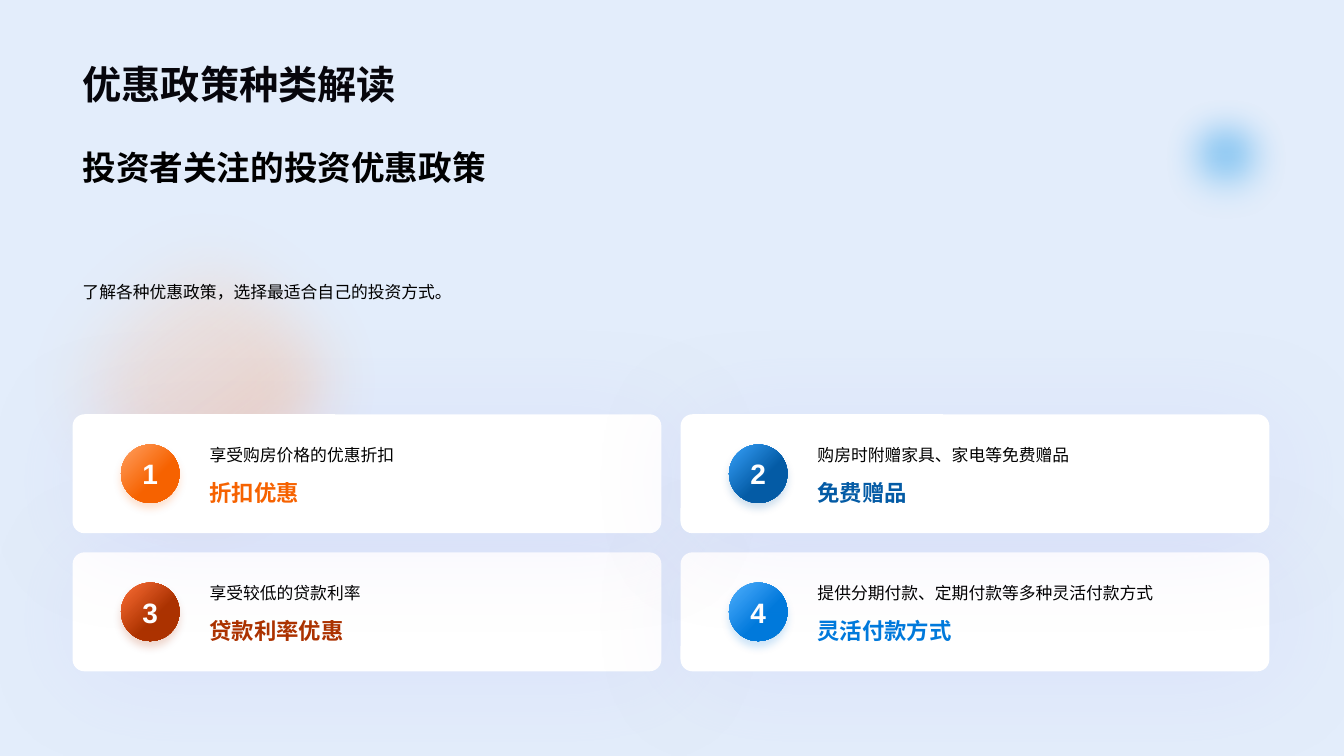
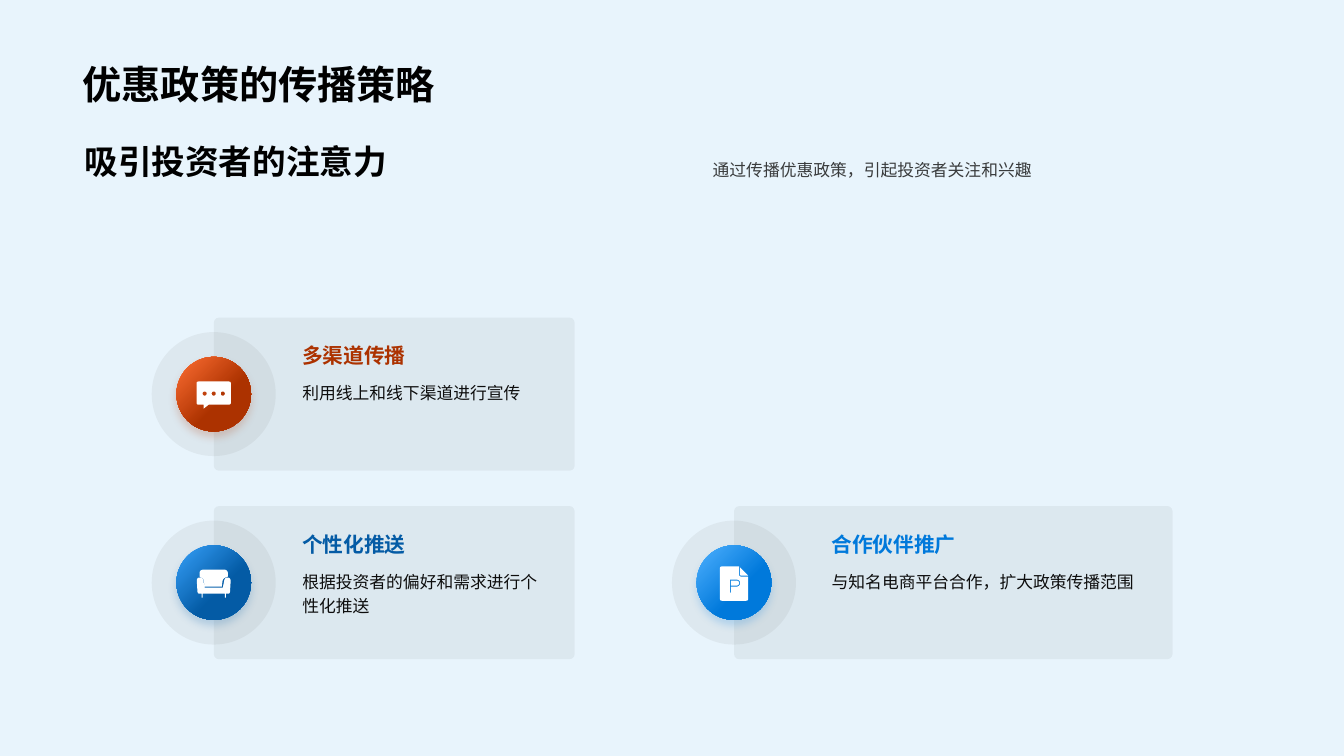
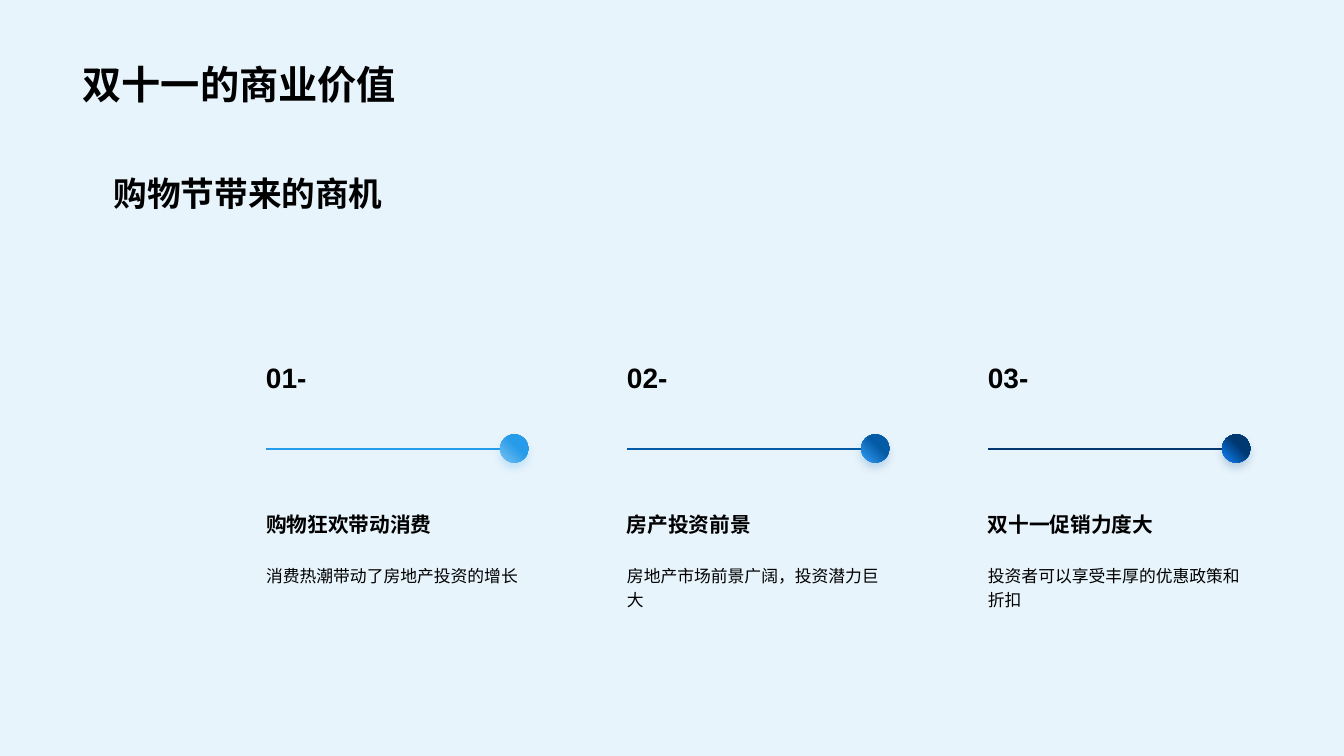
from lxml.etree import SubElement
from pptx import Presentation
from pptx.dml.color import RGBColor
from pptx.enum.shapes import MSO_CONNECTOR, MSO_SHAPE
from pptx.enum.text import MSO_ANCHOR, MSO_AUTO_SIZE, PP_ALIGN
from pptx.oxml.ns import qn
from pptx.util import Inches, Pt

# Shared style
WIDTH, HEIGHT = 13.33, 7.5
MARGIN = 0.72
FONT = "Arial"
BLACK, INK, MUTED, WHITE = "000000", "0D0D0D", "393B3C", "FFFFFF"
PAGE, VIOLET, GREY = "E8F4FC", "8E7EF0", "808080"
ORANGE, RUST = ("FFA061", "F66200"), ("FF6F34", "AC3200")
NAVY, AZURE = ("37A1FA", "045BA5"), ("50B1FF", "0079DB")
SKY, MIDNIGHT = ("7CC3F2", "259BE9"), ("1187FF", "003871")

# Content
POLICIES = [
    ("折扣优惠", "享受购房价格的优惠折扣", ORANGE),
    ("免费赠品", "购房时附赠家具、家电等免费赠品", NAVY),
    ("贷款利率优惠", "享受较低的贷款利率", RUST),
    ("灵活付款方式", "提供分期付款、定期付款等多种灵活付款方式", AZURE),
]
VALUES = [
    ("购物狂欢带动消费", "消费热潮带动了房地产投资的增长", SKY),
    ("房产投资前景", "房地产市场前景广阔，投资潜力巨大", NAVY),
    ("双十一促销力度大", "投资者可以享受丰厚的优惠政策和折扣", MIDNIGHT),
]


def dot_outline(x, y):
    return [(x - 2, y - 2, 2), (x + 2, y - 2, 2), (x + 2, y + 2, 2), (x - 2, y + 2, 2)]


# Icon outlines: corners as (x, y, rounding), in hundredths of an inch
CHAT = [
    [(0, 0, 2), (34, 0, 2), (34, 23, 2), (12, 23, 0), (7, 27, 0), (7, 23, 0), (0, 23, 2)],
    *[dot_outline(x, 12) for x in (8, 17, 26)],
]
SOFA = [
    [(3, 7, 0), (3, 0, 5), (31, 0, 5), (31, 7, 0), (26, 9, 3), (25, 17, 0), (8, 17, 0), (7, 9, 3)],
    [(0, 8, 4), (6, 8, 3), (8, 18, 0), (26, 18, 0), (28, 8, 3), (34, 8, 4), (33, 24, 2),
     (29, 24, 0), (29, 28, 0), (28, 28, 0), (28, 24, 0), (6, 24, 0), (6, 28, 0), (5, 28, 0),
     (5, 24, 0), (1, 24, 2)],
]
FILE = [
    [(0, 0, 2), (19, 0, 0), (19, 10, 2), (28, 10, 0), (28, 34, 2), (0, 34, 2)],
    [(20, 1, 0), (28, 9, 0), (20, 9, 1)],
    [(10, 13, 0), (20, 13, 4), (20, 20, 4), (11, 20, 0), (11, 26, 0), (10, 26, 0)],
    [(11, 14, 0), (19, 14, 3), (19, 19, 3), (11, 19, 0)],
]
# Card column (left, width, text inset), row top, heading, body, colours, icon
LEFT_COLUMN, RIGHT_COLUMN = (2.12, 3.58, 0.78), (7.28, 4.35, 0.87)
CHANNELS = [
    (LEFT_COLUMN, 3.15, "多渠道传播", "利用线上和线下渠道进行宣传", RUST, CHAT),
    (LEFT_COLUMN, 5.02, "个性化推送", "根据投资者的偏好和需求进行个性化推送", NAVY, SOFA),
    (RIGHT_COLUMN, 5.02, "合作伙伴推广", "与知名电商平台合作，扩大政策传播范围", AZURE, FILE),
]


# Drawing helpers
def color(code):
    return RGBColor.from_string(code)


def fill_solid(shape, code, alpha=100):
    shape.fill.solid()
    shape.fill.fore_color.rgb = color(code)
    if alpha < 100:
        tint = shape.element.spPr.find(qn("a:solidFill")).find(qn("a:srgbClr"))
        SubElement(tint, qn("a:alpha"), val=str(alpha * 1000))


def fill_gradient(shape, stops, angle=None):
    """Stops are (position, colour, alpha); without an angle the fill is radial."""
    shape.fill.gradient()
    gradient = shape.element.spPr.find(qn("a:gradFill"))
    for child in list(gradient):
        gradient.remove(child)
    stop_list = SubElement(gradient, qn("a:gsLst"))
    for position, code, alpha in stops:
        stop = SubElement(stop_list, qn("a:gs"), pos=str(position * 1000))
        tint = SubElement(stop, qn("a:srgbClr"), val=code)
        if alpha < 100:
            SubElement(tint, qn("a:alpha"), val=str(alpha * 1000))
    if angle is None:
        radial = SubElement(gradient, qn("a:path"), path="circle")
        SubElement(radial, qn("a:fillToRect"), l="50000", t="130000", r="50000", b="-30000")
    else:
        SubElement(gradient, qn("a:lin"), ang=str(angle * 60000), scaled="0")


def add_shadow(shape, code, alpha, blur, distance, direction):
    effects = shape.element.spPr.find(qn("a:effectLst"))
    shadow = SubElement(effects, qn("a:outerShdw"), blurRad=str(Pt(blur)), dist=str(Pt(distance)),
                        dir=str(direction * 60000), algn="ctr", rotWithShape="0")
    tint = SubElement(shadow, qn("a:srgbClr"), val=code)
    SubElement(tint, qn("a:alpha"), val=str(alpha * 1000))


def add_plain(page, kind, left, top, width, height, rounding=None):
    shape = page.shapes.add_shape(kind, Inches(left), Inches(top), Inches(width), Inches(height))
    if rounding is not None:
        shape.adjustments[0] = rounding
    shape.line.fill.background()
    shape.shadow.inherit = False
    return shape


def add_ball(page, left, top, size, colors, angle=45):
    ball = add_plain(page, MSO_SHAPE.OVAL, left, top, size, size)
    light, dark = colors
    fill_gradient(ball, [(0, light, 100), (60, dark, 100)], angle)
    add_shadow(ball, dark, 20, 6, 4, 90)
    return ball


def add_glow(page, left, top, size, rotation, stops, angle, softness):
    glow = add_plain(page, MSO_SHAPE.OVAL, left, top, size, size)
    glow.rotation = rotation
    fill_gradient(glow, stops, angle)
    effects = glow.element.spPr.find(qn("a:effectLst"))
    SubElement(effects, qn("a:softEdge"), rad=str(Pt(softness)))


def write(shape, text, size, code=BLACK, bold=False, spacing=None,
          anchor=MSO_ANCHOR.TOP, align=PP_ALIGN.LEFT):
    frame = shape.text_frame
    frame.word_wrap = True
    frame.auto_size = MSO_AUTO_SIZE.NONE
    frame.vertical_anchor = anchor
    para = frame.paragraphs[0]
    para.text = text
    para.alignment = align
    if spacing:
        para.line_spacing = spacing
    para.font.name = FONT
    para.font.size = Pt(size)
    para.font.bold = bold
    para.font.color.rgb = color(code)


def add_text(page, left, top, width, height, text, size, **style):
    box = page.shapes.add_textbox(Inches(left), Inches(top), Inches(width), Inches(height))
    write(box, text, size, **style)


def add_body(page, left, top, width, text, code=BLACK, height=0.32):
    add_text(page, left, top, width, height, text, 12, code=code, spacing=1.2)


def add_heading(page, left, top, width, text, code=BLACK):
    add_text(page, left, top, width, 0.34, text, 14.8, code=code, bold=True,
             spacing=0.9, anchor=MSO_ANCHOR.BOTTOM)


def add_subtitle(page, left, top, text):
    add_text(page, left, top, 5.5, 0.5, text, 24, bold=True)


def round_outline(corners, steps=6):
    """Replace every rounded corner by points along a quadratic curve."""
    points = []
    for index, (x, y, rounding) in enumerate(corners):
        if not rounding:
            points.append((x, y))
            continue
        ends = []
        for near_x, near_y, _ in (corners[index - 1], corners[(index + 1) % len(corners)]):
            length = ((near_x - x) ** 2 + (near_y - y) ** 2) ** 0.5
            share = min(rounding / length, 0.5)
            ends.append((x + (near_x - x) * share, y + (near_y - y) * share))
        (start_x, start_y), (end_x, end_y) = ends
        for step in range(steps + 1):
            t = step / steps
            before, middle, after = (1 - t) ** 2, 2 * t * (1 - t), t ** 2
            points.append((before * start_x + middle * x + after * end_x,
                           before * start_y + middle * y + after * end_y))
    return points


def add_icon(page, outlines, center_x, center_y):
    corners = [corner for outline in outlines for corner in outline]
    left = center_x - max(corner[0] for corner in corners) / 200
    top = center_y - max(corner[1] for corner in corners) / 200
    builder = None
    for outline in outlines:
        points = [(Inches(left + x / 100), Inches(top + y / 100)) for x, y in round_outline(outline)]
        if builder is None:
            builder = page.shapes.build_freeform(*points[0], scale=1.0)
        else:
            builder.move_to(*points[0])
        builder.add_line_segments(points[1:], close=True)
    icon = builder.convert_to_shape()
    fill_solid(icon, WHITE)
    icon.line.fill.background()
    icon.shadow.inherit = False


def add_page(deck, title_text):
    page = deck.slides.add_slide(deck.slide_layouts[5])
    title = page.shapes.title
    title.left, title.top = Inches(MARGIN), 0
    title.width, title.height = Inches(WIDTH - 2 * MARGIN), Inches(1.12)
    write(title, title_text, 28, bold=True, anchor=MSO_ANCHOR.BOTTOM)
    return page


# Slides
def build_policies(deck):
    page = add_page(deck, "优惠政策种类解读")
    veil = add_plain(page, MSO_SHAPE.RECTANGLE, 0, 0, WIDTH, HEIGHT)
    fill_solid(veil, VIOLET, 5)
    add_glow(page, 0, 1.76, 4.02, 8.9, [(0, "FFDFCA", 0), (60, "FFA061", 32)], 45, 50)
    add_glow(page, 11.35, 0.77, 1.62, 123.5,
             [(0, "D3EBFB", 100), (47, "7CC3F2", 79), (89, "259BE9", 82)], None, 30)
    add_subtitle(page, MARGIN, 1.41, "投资者关注的投资优惠政策")
    add_body(page, MARGIN, 2.71, 11.87, "了解各种优惠政策，选择最适合自己的投资方式。")

    # Two by two cards, lower row first so that the upper row's shadow falls on it
    width, height, gap, ball_size = 5.84, 1.18, 0.19, 0.58
    for index in (2, 3, 0, 1):
        name, detail, colors = POLICIES[index]
        row, column = divmod(index, 2)
        left = MARGIN + column * (width + gap)
        top = 4.11 + row * (height + gap)
        card = add_plain(page, MSO_SHAPE.ROUNDED_RECTANGLE, left, top, width, height, 0.1)
        fill_solid(card, WHITE)
        add_shadow(card, VIOLET, 10, 80, 8, 40)
        ball = add_ball(page, left + 0.48, top + (height - ball_size) / 2, ball_size, colors)
        write(ball, str(index + 1), 20, code=WHITE, bold=True,
              anchor=MSO_ANCHOR.MIDDLE, align=PP_ALIGN.CENTER)
        add_body(page, left + 1.26, top + 0.21, 4.16, detail)
        add_text(page, left + 1.26, top + 0.52, 4.16, 0.44, name, 16, code=colors[1],
                 bold=True, anchor=MSO_ANCHOR.BOTTOM)


def build_channels(deck):
    page = add_page(deck, "优惠政策的传播策略")
    add_subtitle(page, 0.74, 1.35, "吸引投资者的注意力")
    add_body(page, 6.97, 1.5, 5.62, "通过传播优惠政策，引起投资者关注和兴趣", MUTED)

    height, halo_size, ball_size = 1.52, 1.23, 0.74
    for (left, width, inset), top, name, detail, colors, icon in CHANNELS:
        middle = top + height / 2
        card = add_plain(page, MSO_SHAPE.ROUNDED_RECTANGLE, left, top, width, height, 0.035)
        fill_solid(card, INK, 5)
        halo = add_plain(page, MSO_SHAPE.OVAL, left - halo_size / 2, middle - halo_size / 2,
                         halo_size, halo_size)
        fill_solid(halo, GREY, 10)
        add_ball(page, left - ball_size / 2, middle - ball_size / 2, ball_size, colors)
        add_icon(page, icon, left, middle + 0.01)
        text_width = width - inset - 0.13
        add_heading(page, left + inset, top + 0.21, text_width, name, colors[1])
        add_body(page, left + inset, top + 0.56, text_width, detail, INK, 0.56)


def build_values(deck):
    page = add_page(deck, "双十一的商业价值")
    add_subtitle(page, 1.03, 1.67, "购物节带来的商机")

    pitch, width, axis, dot_size = 3.58, 2.82, 4.45, 0.28
    for index, (name, detail, colors) in enumerate(VALUES):
        left = 2.54 + index * pitch
        dot_left = left + width - 0.4
        line = page.shapes.add_connector(MSO_CONNECTOR.STRAIGHT, Inches(left + 0.1), Inches(axis),
                                         Inches(dot_left), Inches(axis))
        line.line.color.rgb = color(colors[1])
        line.line.width = Pt(1.5)
        SubElement(line.element.spPr, qn("a:effectLst"))
        add_ball(page, dot_left, axis - dot_size / 2, dot_size, colors, 315)
        add_text(page, left, 3.53, 0.93, 0.44, f"{index + 1:02}-", 20, bold=True)
        add_heading(page, left, 5.04, width, name)
        add_body(page, left, 5.52, width, detail, height=0.56)


def main():
    deck = Presentation()
    deck.slide_width, deck.slide_height = Inches(WIDTH), Inches(HEIGHT)
    backdrop = deck.slide_master.background.fill
    backdrop.solid()
    backdrop.fore_color.rgb = color(PAGE)
    build_policies(deck)
    build_channels(deck)
    build_values(deck)
    deck.save("out.pptx")


if __name__ == "__main__":
    main()
